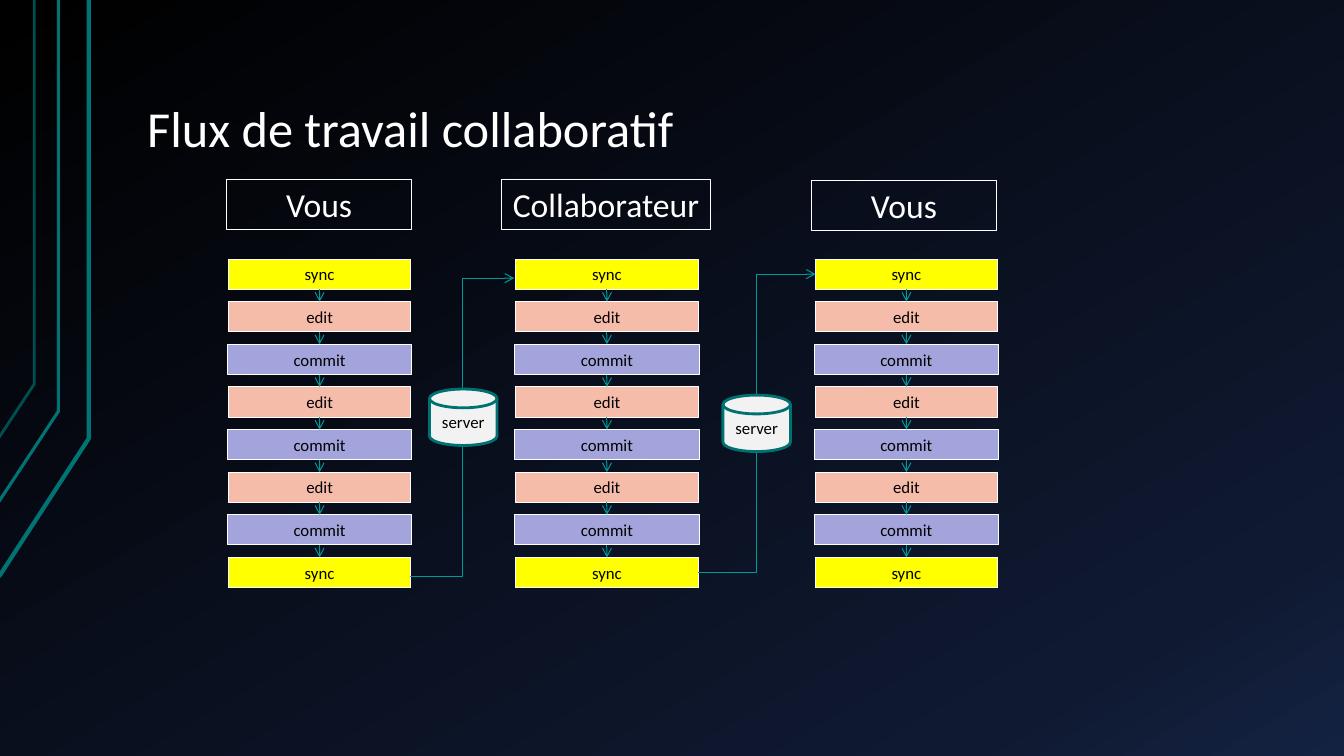
import copy
from dataclasses import dataclass

import pptx
import pptx.dml.color
import pptx.enum.shapes
import pptx.enum.text
import pptx.oxml.ns
import pptx.shapes.autoshape
import pptx.slide
import pptx.text.text
import pptx.util
from lxml import etree

Inches = pptx.util.Inches
Pt = pptx.util.Pt
Align = pptx.enum.text.PP_ALIGN
Anchor = pptx.enum.text.MSO_ANCHOR
AutoSize = pptx.enum.text.MSO_AUTO_SIZE
Preset = pptx.enum.shapes.MSO_SHAPE
Connector = pptx.enum.shapes.MSO_CONNECTOR
Point = tuple[float, float]

FONT = "Calibri"
WHITE, BLACK, TEAL = "FFFFFF", "000000", "009999"
STEP_TOP, STEP_PITCH, STEP_HEIGHT = 2.57, 2.96 / 7, 0.3


@dataclass(frozen=True)
class Step:
    label: str
    fill: str
    width: float


@dataclass(frozen=True)
class Lane:
    name: str
    center: float
    header_left: float
    header_top: float
    header_width: float


@dataclass(frozen=True)
class Handover:
    start: Point
    end: Point
    server_left: float
    server_top: float


@dataclass(frozen=True)
class Trace:
    points: list[Point]
    color: str
    weight: float


SYNC = Step("sync", "FFFF00", 1.81)
EDIT = Step("edit", "F5BCAA", 1.81)
COMMIT = Step("commit", "A4A4DC", 1.83)
STEPS = [SYNC, *[EDIT, COMMIT] * 3, SYNC]

LANES = [
    Lane("Vous", 3.17, 2.25, 1.78, 1.83),
    Lane("Collaborateur", 6.02, 4.97, 1.78, 2.08),
    Lane("Vous", 8.99, 8.05, 1.79, 1.83),
]
HANDOVERS = [
    Handover((4.07, 5.72), (5.10, 2.76), 4.26, 3.86),
    Handover((6.92, 5.68), (8.09, 2.72), 7.17, 3.92),
]
TRACES = [
    Trace([(-0.01, 5.72), (0.88, 4.35), (0.88, 0)], "007373", 3),
    Trace([(-0.02, 4.99), (0.58, 4.08), (0.58, 0)], "007373", 2.25),
    Trace([(-0.01, 4.34), (0.34, 3.81), (0.34, 0)], "004F4F", 2),
]
BACKGROUND_STOPS = [(0, "000000"), (0.85, "0F1931"), (1, "142242")]


def rgb(color: str) -> pptx.dml.color.RGBColor:
    return pptx.dml.color.RGBColor.from_string(color)


def write(frame: pptx.text.text.TextFrame, text: str, *, size: float, color: str,
          align: Align = Align.CENTER, anchor: Anchor = Anchor.TOP,
          auto_size: AutoSize = AutoSize.NONE, line_spacing: float = 1.0) -> None:
    frame.word_wrap = True
    frame.auto_size = auto_size
    frame.vertical_anchor = anchor
    para = frame.paragraphs[0]
    para.alignment = align
    para.line_spacing = line_spacing
    span = para.add_run()
    span.text = text
    span.font.name = FONT
    span.font.size = Pt(size)
    span.font.color.rgb = rgb(color)


def add_box(page: pptx.slide.Slide, preset: Preset, left: float, top: float,
            width: float, height: float, *, fill: str | None, line: str,
            weight: float) -> pptx.shapes.autoshape.Shape:
    box = page.shapes.add_shape(preset, Inches(left), Inches(top),
                                Inches(width), Inches(height))
    box.shadow.inherit = False
    if fill:
        box.fill.solid()
        box.fill.fore_color.rgb = rgb(fill)
    else:
        box.fill.background()
    box.line.color.rgb = rgb(line)
    box.line.width = Pt(weight)
    return box


def add_arrow(page: pptx.slide.Slide, kind: Connector, start: Point, end: Point) -> None:
    arrow = page.shapes.add_connector(kind, *map(Inches, start), *map(Inches, end))
    arrow.line.color.rgb = rgb(TEAL)
    arrow.line.width = Pt(0.75)
    qn = pptx.oxml.ns.qn
    properties = arrow.element.find(qn("p:spPr"))
    etree.SubElement(properties.find(qn("a:ln")), qn("a:tailEnd"), type="arrow")
    etree.SubElement(properties, qn("a:effectLst"))


def paint_background(page: pptx.slide.Slide) -> None:
    fill = page.background.fill
    fill.gradient()
    fill.gradient_angle = 300
    stop_list = page.element.find(".//" + pptx.oxml.ns.qn("a:gsLst"))
    stop_list.append(copy.deepcopy(stop_list[-1]))
    for stop, (position, color) in zip(fill.gradient_stops, BACKGROUND_STOPS):
        stop.position = position
        stop.color.rgb = rgb(color)


def add_trace(page: pptx.slide.Slide, trace: Trace) -> None:
    start, *corners = [(Inches(x), Inches(y)) for x, y in trace.points]
    builder = page.shapes.build_freeform(*start)
    builder.add_line_segments(corners, close=False)
    outline = builder.convert_to_shape()
    outline.shadow.inherit = False
    outline.fill.background()
    outline.line.color.rgb = rgb(trace.color)
    outline.line.width = Pt(trace.weight)


def add_lane(page: pptx.slide.Slide, lane: Lane) -> None:
    for row, step in enumerate(STEPS):
        top = STEP_TOP + row * STEP_PITCH
        box = add_box(page, Preset.RECTANGLE, lane.center - step.width / 2, top,
                      step.width, STEP_HEIGHT, fill=step.fill, line=WHITE, weight=0.75)
        write(box.text_frame, step.label, size=12, color=BLACK,
              auto_size=AutoSize.SHAPE_TO_FIT_TEXT)
        if row:
            add_arrow(page, Connector.STRAIGHT,
                      (lane.center, top - STEP_PITCH + STEP_HEIGHT), (lane.center, top))
    header = add_box(page, Preset.RECTANGLE, lane.header_left, lane.header_top,
                     lane.header_width, 0.5, fill=None, line=WHITE, weight=0.75)
    write(header.text_frame, lane.name, size=24, color=WHITE,
          auto_size=AutoSize.SHAPE_TO_FIT_TEXT)


def add_handover(page: pptx.slide.Slide, handover: Handover) -> None:
    add_arrow(page, Connector.ELBOW, handover.start, handover.end)
    server = add_box(page, Preset.FLOWCHART_MAGNETIC_DISK, handover.server_left,
                     handover.server_top, 0.67, 0.56, fill="F2F2F2", line="007171", weight=2)
    write(server.text_frame, "server", size=12, color=BLACK, anchor=Anchor.MIDDLE)


def main() -> None:
    deck = pptx.Presentation()
    deck.slide_width, deck.slide_height = Inches(13.33), Inches(7.5)
    page = deck.slides.add_slide(deck.slide_layouts.get_by_name("Title Only"))

    # Background and circuit traces
    paint_background(page)
    for trace in TRACES:
        add_trace(page, trace)

    # Title
    title = page.shapes.title
    title.left, title.top = Inches(1.33), Inches(0.3)
    title.width, title.height = Inches(11.33), Inches(1.34)
    frame = title.text_frame
    frame.margin_left = frame.margin_right = Inches(0.13)
    frame.margin_top = frame.margin_bottom = Inches(0.07)
    write(frame, "Flux de travail collaboratif", size=36, color=WHITE,
          align=Align.LEFT, anchor=Anchor.BOTTOM, line_spacing=0.9)

    # Workflow lanes and the servers between them
    for lane in LANES:
        add_lane(page, lane)
    for handover in HANDOVERS:
        add_handover(page, handover)

    deck.save("out.pptx")


if __name__ == "__main__":
    main()
